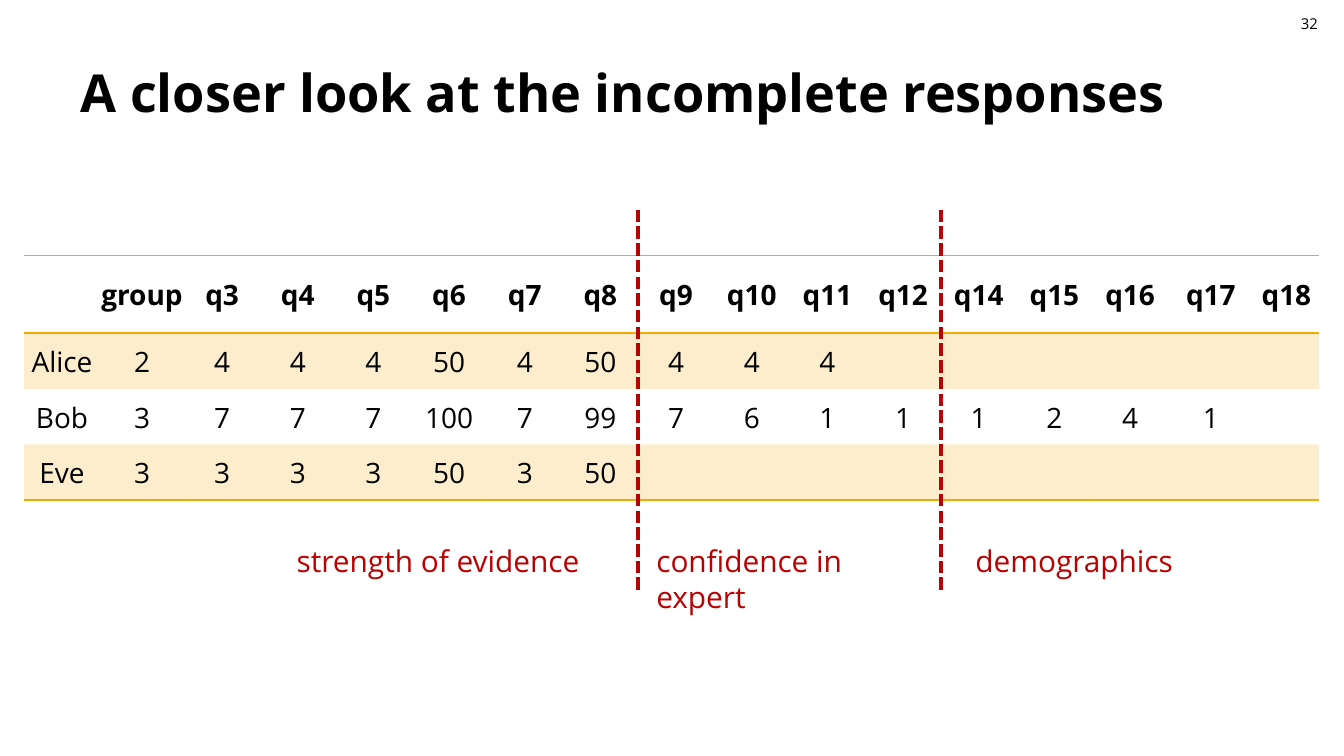
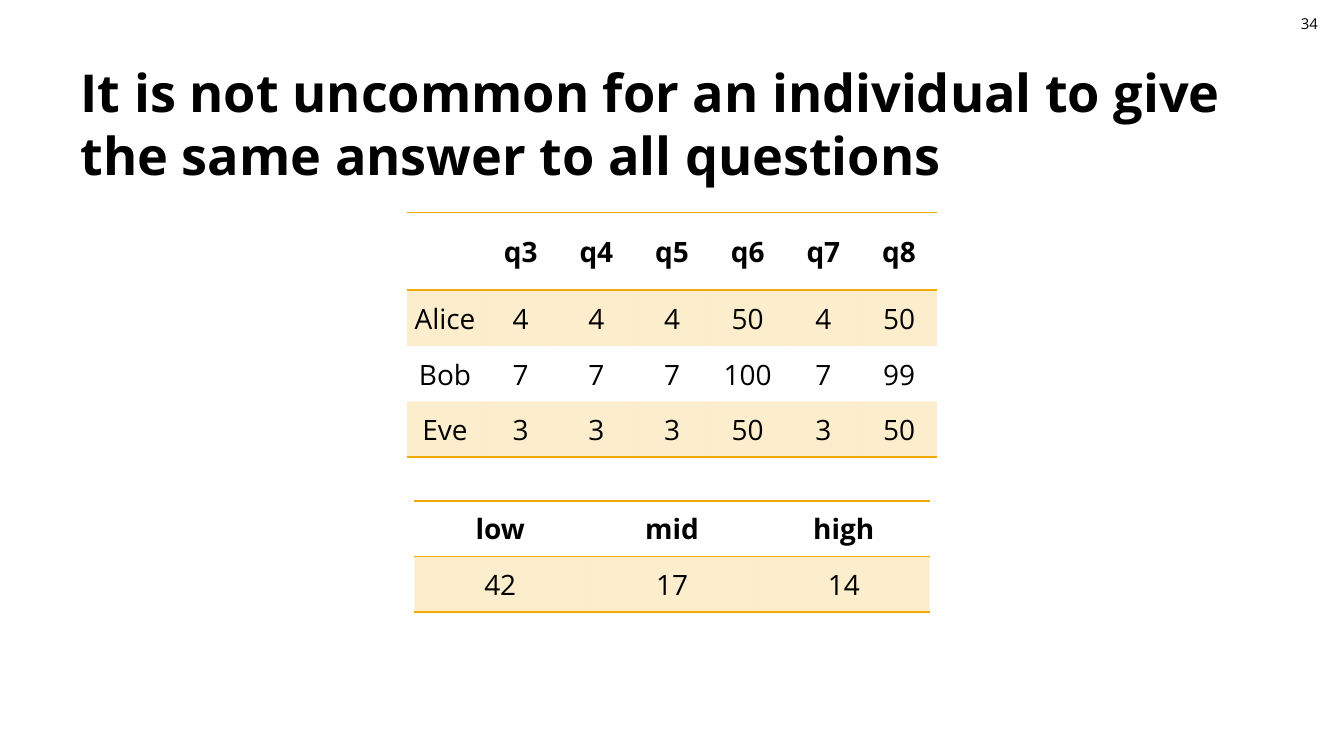
from lxml import etree
from pptx import Presentation
from pptx.dml.color import RGBColor
from pptx.enum.dml import MSO_LINE
from pptx.enum.shapes import MSO_CONNECTOR
from pptx.enum.text import MSO_ANCHOR, MSO_AUTO_SIZE, PP_ALIGN
from pptx.oxml.ns import qn
from pptx.util import Inches, Pt

STRAIGHT = MSO_CONNECTOR.STRAIGHT
SHORT_DASH = MSO_LINE.SQUARE_DOT
TOP, MIDDLE = MSO_ANCHOR.TOP, MSO_ANCHOR.MIDDLE
LEFT, CENTER = PP_ALIGN.LEFT, PP_ALIGN.CENTER
NO_FIT, GROW = MSO_AUTO_SIZE.NONE, MSO_AUTO_SIZE.SHAPE_TO_FIT_TEXT
BLACK, GOLD, RED = "000000", "F2A900", "BB0000"
FONT = "Open Sans"
PLAIN_TABLE = "{2D5ABB26-0587-4C30-8999-92F81FD0307C}"

deck = Presentation()
deck.slide_width = Inches(10)
deck.slide_height = deck.slide_width * 9 // 16
column = deck.slide_width / 100
row = deck.slide_height / 56.25


def color(hex_value):
    return RGBColor.from_string(hex_value)


def write(frame, text, size, hex_value, bold=False, align=LEFT):
    para = frame.paragraphs[0]
    para.alignment = align
    span = para.add_run()
    span.text = text
    for name, value in {"name": FONT, "size": Pt(size), "bold": bold}.items():
        setattr(span.font, name, value)
    span.font.color.rgb = color(hex_value)


strength = ["q3", "q4", "q5", "q6", "q7", "q8"]
confidence = ["q9", "q10", "q11", "q12"]
demographics = ["q14", "q15", "q16", "q17", "q18"]
people = {
    "Alice": ["2", "4", "4", "4", "50", "4", "50", "4", "4", "4"],
    "Bob": ["3", "7", "7", "7", "100", "7", "99", "7", "6", "1", "1", "1", "2", "4", "1"],
    "Eve": ["3", "3", "3", "3", "50", "3", "50"],
}
all_answers = [["", "group"] + strength + confidence + demographics]
strength_answers = [[""] + strength]
for person, answers in people.items():
    blanks = [""] * (len(all_answers[0]) - 1 - len(answers))
    all_answers.append([person] + answers + blanks)
    strength_answers.append([person] + answers[1:7])
levels = [["low", "mid", "high"], ["42", "17", "14"]]

question = 5.63
answer_rows = [5.8, 4.13, 4.13, 4.13]
slim = {"margin_left": Inches(0.01), "margin_right": Inches(0.01),
        "margin_top": Inches(0.01), "margin_bottom": 0}
slides = [
    {
        "number": "32",
        "title": "A closer look at the incomplete responses",
        "tables": [(1.8, 19, all_answers, [question, 6.28] + [question] * 13 + [6.4, 4.85],
                    answer_rows, slim)],
        "dividers": [47.5, 70],
        "labels": [("strength of evidence", 21.1, 25), ("confidence in expert", 47.85, 22.5),
                   ("demographics", 71.6, 25)],
    },
    {
        "number": "34",
        "title": "It is not uncommon for an individual to give the same answer to all questions",
        "tables": [(30.3, 15.8, strength_answers, [question] * 7, answer_rows, slim),
                   (30.83, 37.3, levels, [12.78] * 3, [4.12] * 2, {})],
        "dividers": [],
        "labels": [],
    },
]

for content in slides:
    page = deck.slides.add_slide(deck.slide_layouts[5])

    title = page.shapes.title
    place = {"left": 5 * column, "top": 4 * row, "width": 90 * column, "height": 6.7 * row}
    for name, value in place.items():
        setattr(title, name, int(value))
    title_format = {"vertical_anchor": TOP, "word_wrap": True, "auto_size": NO_FIT}
    for name, value in title_format.items():
        setattr(title.text_frame, name, value)
    write(title.text_frame, content["title"], 28, BLACK, bold=True)

    for left, top, values, widths, heights, margins in content["tables"]:
        table = page.shapes.add_table(
            len(values), len(widths), int(left * column), int(top * row),
            int(sum(widths) * column), int(sum(heights) * row)).table
        table.first_row = table.horz_banding = False
        table._tbl.tblPr.find(qn("a:tableStyleId")).text = PLAIN_TABLE
        for index, width in enumerate(widths):
            table.columns[index].width = int(width * column)
        for index, height in enumerate(heights):
            table.rows[index].height = int(height * row)
            for position, text in enumerate(values[index]):
                cell = table.cell(index, position)
                for name, value in {"vertical_anchor": MIDDLE, **margins}.items():
                    setattr(cell, name, value)
                if text:
                    write(cell.text_frame, text, 15, BLACK, bold=index == 0, align=CENTER)

                properties = cell._tc.get_or_add_tcPr()
                edges = {"a:lnT": index == 0, "a:lnB": index in (0, len(values) - 1)}
                for edge, shown in edges.items():
                    if shown:
                        border = etree.SubElement(properties, qn(edge), w=str(Pt(1)))
                        paint = etree.SubElement(border, qn("a:solidFill"))
                        etree.SubElement(paint, qn("a:srgbClr"), val=GOLD)
                if index % 2:
                    cell.fill.solid()
                    cell.fill.fore_color.rgb = color(GOLD)
                    tint = properties.find(qn("a:solidFill")).find(qn("a:srgbClr"))
                    etree.SubElement(tint, qn("a:alpha"), val="20000")
                else:
                    cell.fill.background()

    for x in content["dividers"]:
        divider = page.shapes.add_connector(
            STRAIGHT, int(x * column), int(15.6 * row), int(x * column), int(44 * row))
        divider.line.color.rgb = color(RED)
        divider.line.width = Pt(2.25)
        divider.line.dash_style = SHORT_DASH
        etree.SubElement(divider._element.spPr, qn("a:effectLst"))

    boxes = [(content["number"], 95.8, 0.6, 4.2, 2.4, 8, BLACK)]
    for text, left, width in content["labels"]:
        boxes.append((text, left, 39.9, width, 3.7, 16, RED))
    for text, left, top, width, height, size, hex_value in boxes:
        box = page.shapes.add_textbox(
            int(left * column), int(top * row), int(width * column), int(height * row))
        box.text_frame.word_wrap = True
        box.text_frame.auto_size = GROW
        write(box.text_frame, text, size, hex_value)

deck.save("out.pptx")
